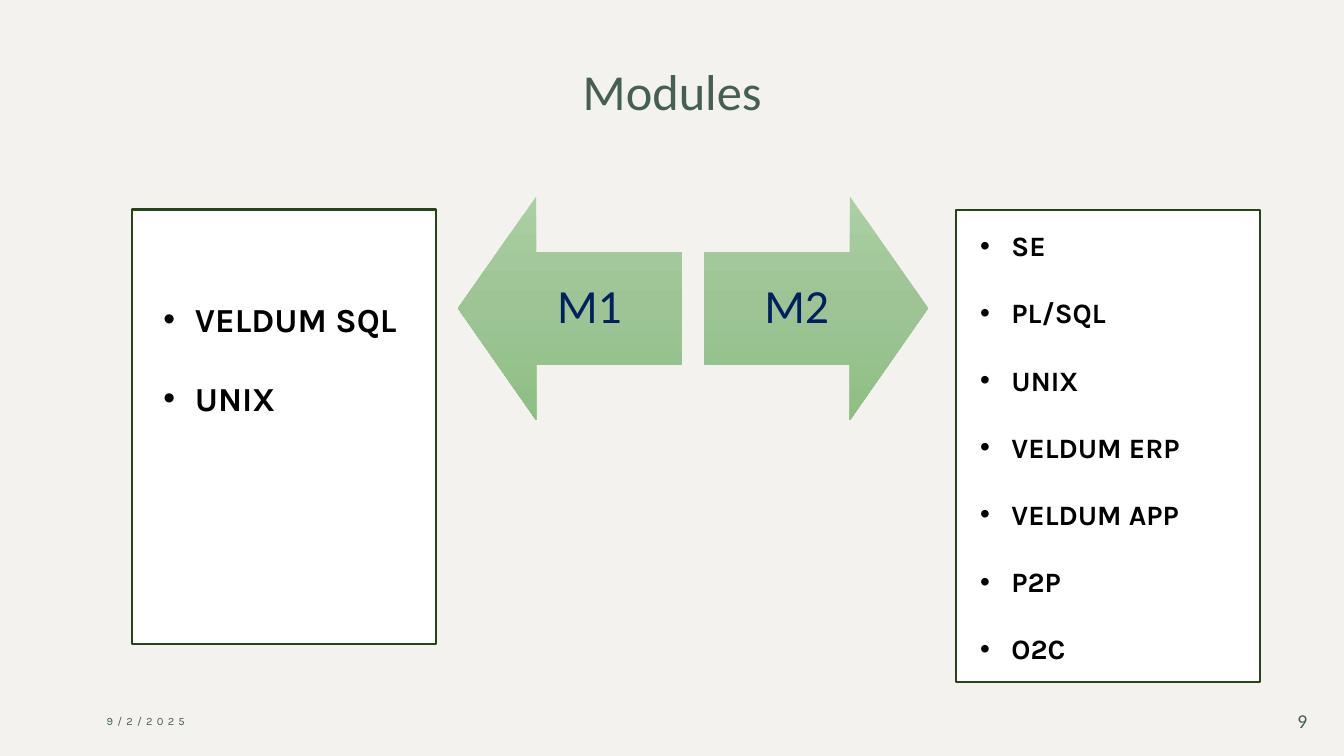
import copy

import pptx
import pptx.dml.color
import pptx.enum.shapes
import pptx.enum.text
import pptx.util
from pptx.util import Cm

ARROW = pptx.enum.shapes.MSO_SHAPE
ALIGN = pptx.enum.text.PP_ALIGN
ANCHOR = pptx.enum.text.MSO_ANCHOR


def color(value):
    return pptx.dml.color.RGBColor.from_string(value)


def place(part, box):
    part.left, part.top, part.width, part.height = map(Cm, box)


def set_frame(frame, anchor, insets):
    frame.word_wrap = True
    frame.auto_size = pptx.enum.text.MSO_AUTO_SIZE.NONE
    frame.vertical_anchor = anchor
    frame.margin_left, frame.margin_top, frame.margin_right, frame.margin_bottom = map(Cm, insets)


def set_font(paragraph, face, size, hue, bold=False):
    paragraph.font.name = face
    paragraph.font.size = pptx.util.Pt(size)
    paragraph.font.color.rgb = color(hue)
    paragraph.font.bold = bold


def add_heading(heading, box, text):
    place(heading, box)
    set_frame(heading.text_frame, ANCHOR.BOTTOM, (0.25, 0.13, 0.25, 0.13))
    heading.text_frame.text = text
    paragraph = heading.text_frame.paragraphs[0]
    paragraph.alignment = ALIGN.CENTER
    set_font(paragraph, "Calibri", 36, "455F51")


def add_module_topics(panel, box, topics, size, gap, left_inset, top_inset):
    place(panel, box)
    panel.fill.solid()
    panel.fill.fore_color.rgb = color("FFFFFF")
    panel.line.color.rgb = color("254519")
    panel.line.width = pptx.util.Pt(1.5)
    set_frame(panel.text_frame, ANCHOR.TOP, (left_inset, top_inset, 0.25, 0.13))
    panel.text_frame.text = "\n".join(topics)
    for index, topic in enumerate(panel.text_frame.paragraphs):
        properties = topic._p.get_or_add_pPr()
        properties.set("marL", str(Cm(0.79)))
        properties.set("indent", str(-Cm(0.79)))
        topic.space_before = pptx.util.Pt(gap if index else 0)
        set_font(topic, "Karla", size, "000000", True)


def add_module_arrow(slide, box, direction, label):
    arrow = slide.shapes.add_shape(direction, *map(Cm, box))
    arrow.shadow.inherit = False
    arrow.adjustments[0], arrow.adjustments[1] = 0.5, 0.35
    arrow.line.fill.background()
    arrow.fill.gradient()
    arrow.fill.gradient_angle = 270
    first = arrow.fill.gradient_stops[0]._gs
    first.addnext(copy.deepcopy(first))
    shades = ((0, "AACFA2"), (0.5, "9EC496"), (1, "8DBF82"))
    for stop, (position, shade) in zip(arrow.fill.gradient_stops, shades):
        stop.position = position
        stop.color.rgb = color(shade)
    set_frame(arrow.text_frame, ANCHOR.MIDDLE, (0.66,) * 4)
    arrow.text_frame.text = label
    paragraph = arrow.text_frame.paragraphs[0]
    paragraph.alignment = ALIGN.CENTER
    paragraph.line_spacing = 0.9
    set_font(paragraph, "Calibri", 34, "002060")


def add_footer(slide, box, text, face, size, alignment, spacing=0):
    footer = slide.shapes.add_textbox(*map(Cm, box))
    set_frame(footer.text_frame, ANCHOR.MIDDLE, (0.25, 0.13, 0.25, 0.13))
    footer.text_frame.text = text
    paragraph = footer.text_frame.paragraphs[0]
    paragraph.alignment = alignment
    set_font(paragraph, face, size, "455F51")
    paragraph.runs[0].font._element.set("spc", str(spacing))


def build_modules_slide(deck):
    slide = deck.slides.add_slide(deck.slide_layouts[3])
    slide.background.fill.solid()
    slide.background.fill.fore_color.rgb = color("F4F2EE")
    heading, first_module, second_module = slide.placeholders

    add_heading(heading, (4.24, 1.17, 25.4, 2.01), "Modules")
    add_module_topics(first_module, (3.33, 5.28, 7.65, 10.95),
                      ["VELDUM SQL", "UNIX"], 24, 28, 0.79, 2.24)
    add_module_topics(second_module, (24.09, 5.29, 7.67, 11.89),
                      ["SE", "PL/SQL", "UNIX", "VELDUM ERP", "VELDUM APP", "P2P", "O2C"],
                      20, 24, 0.61, 0.47)
    add_module_arrow(slide, (11.54, 4.95, 5.64, 5.64), ARROW.LEFT_ARROW, "M1")
    add_module_arrow(slide, (17.75, 4.95, 5.64, 5.64), ARROW.RIGHT_ARROW, "M2")
    add_footer(slide, (2.44, 17.65, 7.62, 1.02), "9/2/2025", "Karla", 8, ALIGN.LEFT, 300)
    add_footer(slide, (31.75, 17.65, 1.45, 1.02), "9", "Calibri", 14, ALIGN.RIGHT)


def main():
    deck = pptx.Presentation()
    deck.slide_width, deck.slide_height = Cm(33.87), Cm(19.05)
    build_modules_slide(deck)
    deck.save("out.pptx")


if __name__ == "__main__":
    main()
